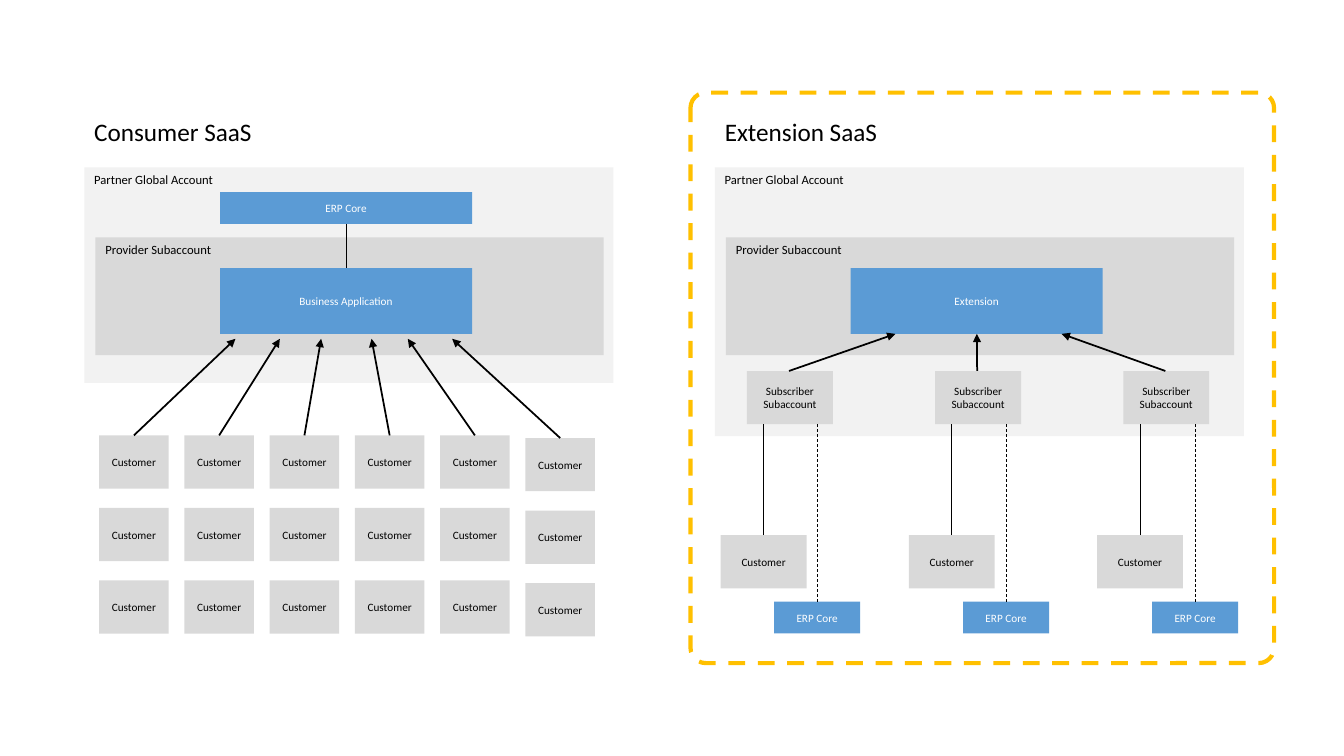
"""Draw the consumer and extension SaaS account models side by side."""
from dataclasses import dataclass

from lxml import etree
from pptx import Presentation
from pptx import util as u
from pptx.dml.color import RGBColor
from pptx.enum import dml, shapes, text
from pptx.oxml import ns


@dataclass(frozen=True)
class Theme:
    """Hold the colours, font and sizes of the slide."""
    font: str = "Calibri"
    black: str = "000000"
    white: str = "FFFFFF"
    account: str = "F2F2F2"
    grey: str = "D9D9D9"
    blue: str = "5B9BD5"
    highlight: str = "FFC000"
    title_size: float = 18
    label_size: float = 9
    box_size: float = 8
    thin: float = 0.5
    arrow: float = 1.25
    frame: float = 3


THEME = Theme()
ERP = "ERP Core"


def write_text(shape, wording, size=THEME.box_size, color=THEME.black,
               align=text.PP_ALIGN.CENTER, anchor=text.MSO_ANCHOR.MIDDLE):
    """Write one formatted paragraph into a shape."""
    frame = shape.text_frame
    frame.word_wrap = True
    frame.vertical_anchor = anchor
    paragraph = frame.paragraphs[0]
    paragraph.alignment = align
    run = paragraph.add_run()
    run.text = wording
    run.font.name = THEME.font
    run.font.size = u.Pt(size)
    run.font.color.rgb = RGBColor.from_string(color)


def add_label(slide, wording, left, top, width, height, size=THEME.label_size):
    """Add a left-aligned text box."""
    label = slide.shapes.add_textbox(*map(u.Pt, (left, top, width, height)))
    write_text(label, wording, size=size, align=text.PP_ALIGN.LEFT,
               anchor=text.MSO_ANCHOR.TOP)


def add_box(slide, left, top, width, height, fill=THEME.grey, wording="",
            color=THEME.black):
    """Add a borderless filled rectangle with optional centred text."""
    box = slide.shapes.add_shape(shapes.MSO_SHAPE.RECTANGLE,
                                 *map(u.Pt, (left, top, width, height)))
    box.shadow.inherit = False
    box.fill.solid()
    box.fill.fore_color.rgb = RGBColor.from_string(fill)
    box.line.fill.background()
    if wording:
        write_text(box, wording, color=color)


def add_line(slide, x1, y1, x2, y2, width=THEME.thin, dashed=False, arrow=False):
    """Add a straight black line, dashed or with an arrowhead on request."""
    line = slide.shapes.add_connector(shapes.MSO_CONNECTOR.STRAIGHT,
                                      *map(u.Pt, (x1, y1, x2, y2)))
    line.line.color.rgb = RGBColor.from_string(THEME.black)
    line.line.width = u.Pt(width)
    if dashed:
        line.line.dash_style = dml.MSO_LINE.DASH
    properties = line._element.spPr
    if arrow:
        outline = properties.find(ns.qn("a:ln"))
        etree.SubElement(outline, ns.qn("a:tailEnd"), type="triangle")
    etree.SubElement(properties, ns.qn("a:effectLst"))


def add_account(slide, left, top, width, height, title, application):
    """Draw the title, account, subaccount and application shared by both models."""
    add_label(slide, title, left, top - 40.3, 193, 29, size=THEME.title_size)
    add_box(slide, left, top, width, height, fill=THEME.account)
    add_label(slide, "Partner Global Account", left, top, 130, 18.7)
    add_box(slide, left + 8, top + 50, width - 15, 84.2)
    add_label(slide, "Provider Subaccount", left + 8, top + 50, 164, 18.7)
    add_box(slide, left + 97, top + 72, 180, 47, fill=THEME.blue,
            wording=application, color=THEME.white)


def add_consumer_model(slide, left, top, width, height):
    """Draw one application that serves a grid of customers."""
    add_account(slide, left, top, width, height, "Consumer SaaS",
                "Business Application")
    add_box(slide, left + 97, top + 17.8, 180, 22.7, fill=THEME.blue,
            wording=ERP, color=THEME.white)
    add_line(slide, left + 187, top + 40.5, left + 187, top + 72)
    arrow_tips = (108, 139.7, 169.2, 205.2, 231.1, 262.8)
    for column, tip in enumerate(arrow_tips):
        customer_left = left + 10.6 + 60.9 * column
        drop = 1.9 if column == len(arrow_tips) - 1 else 0
        customer_top = top + 191.5 + drop
        for row in range(3):
            add_box(slide, customer_left, customer_top + 51.8 * row, 49.7, 38,
                    wording="Customer")
        add_line(slide, customer_left + 24.85, customer_top, left + tip,
                 top + 122.5, width=THEME.arrow, arrow=True)


def add_extension_model(slide, left, top, width, height):
    """Draw one extension with a subaccount and ERP system per customer."""
    add_account(slide, left, top, width, height, "Extension SaaS", "Extension")
    for column, tip in enumerate((129, 187.2, 247.7)):
        subscriber_left = left + 23 + 134.4 * column
        erp_left = left + 42.4 + 135 * column
        add_box(slide, subscriber_left, top + 145.5, 61.4, 38,
                wording="Subscriber Subaccount")
        add_box(slide, subscriber_left - 18.8, top + 262.8, 61.4, 38,
                wording="Customer")
        add_box(slide, erp_left, top + 310.3, 61.4, 22.7, fill=THEME.blue,
                wording=ERP, color=THEME.white)
        add_line(slide, subscriber_left + 30, top + 145.5, left + tip, top + 119,
                 width=THEME.arrow, arrow=True)
        add_line(slide, subscriber_left + 11.8, top + 262.8,
                 subscriber_left + 11.8, top + 183.5)
        add_line(slide, erp_left + 30.7, top + 310.3, erp_left + 30.7,
                 top + 183.5, dashed=True)


def add_highlight(slide, left, top, width, height):
    """Draw the dashed rounded frame around the chosen model."""
    frame = slide.shapes.add_shape(shapes.MSO_SHAPE.ROUNDED_RECTANGLE,
                                   *map(u.Pt, (left, top, width, height)))
    frame.adjustments[0] = 0.027
    frame.shadow.inherit = False
    frame.fill.background()
    frame.line.color.rgb = RGBColor.from_string(THEME.highlight)
    frame.line.width = u.Pt(THEME.frame)
    frame.line.dash_style = dml.MSO_LINE.DASH


def main():
    """Build and save the slide."""
    presentation = Presentation()
    presentation.slide_width = u.Pt(960)
    presentation.slide_height = u.Pt(540)
    slide = presentation.slides.add_slide(presentation.slide_layouts[6])
    add_consumer_model(slide, 60.2, 119.5, 378, 154)
    add_extension_model(slide, 510.6, 119.5, 378, 192)
    add_highlight(slide, 493.2, 66.2, 416.9, 407.5)
    presentation.save("out.pptx")


if __name__ == "__main__":
    main()
